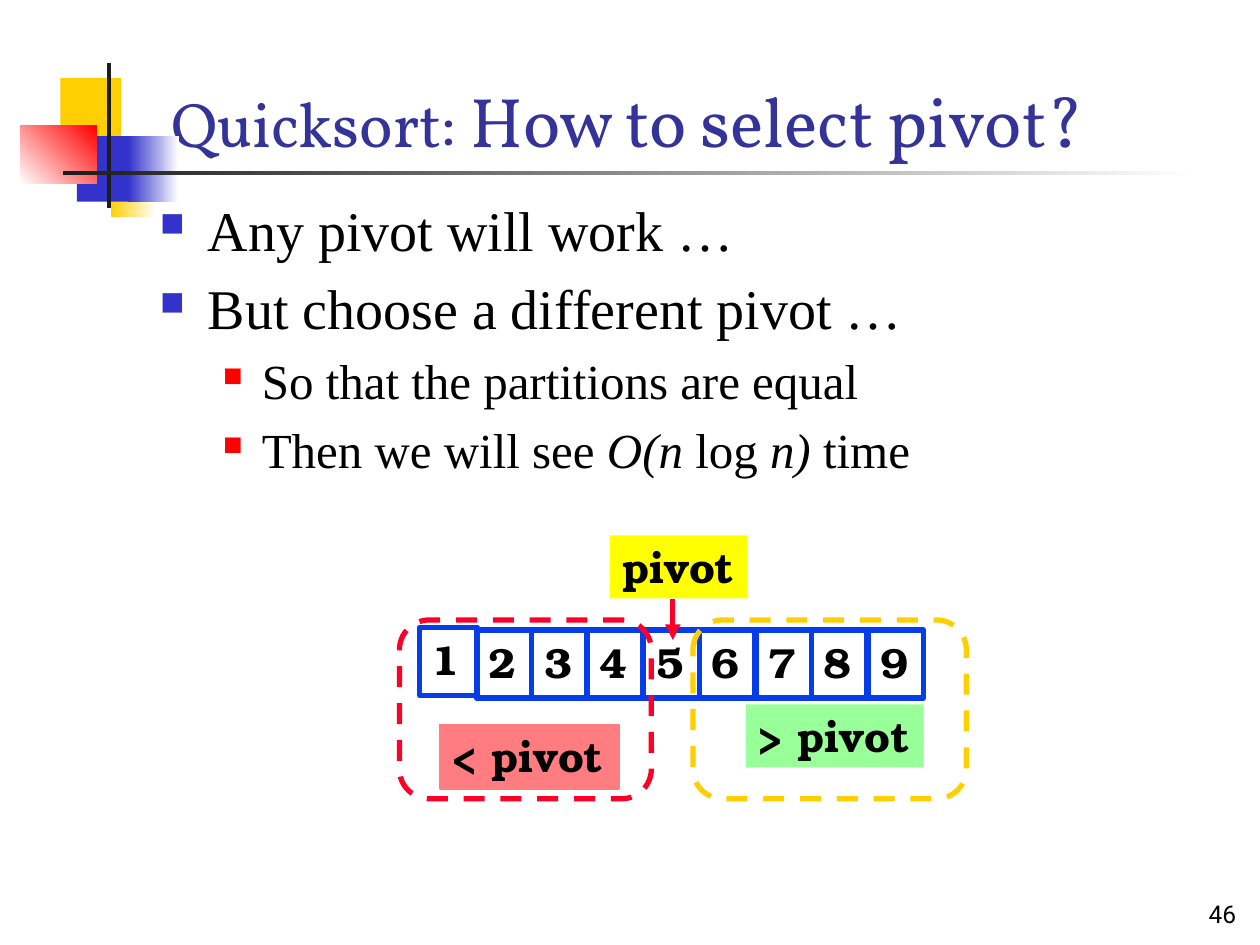
from dataclasses import dataclass

from lxml.etree import SubElement
from pptx import Presentation
from pptx.dml.color import RGBColor
from pptx.enum.dml import MSO_LINE_DASH_STYLE as Dash
from pptx.enum.shapes import MSO_CONNECTOR as Connector, MSO_SHAPE as Shape
from pptx.enum.text import MSO_ANCHOR as Anchor, MSO_AUTO_SIZE as AutoSize, PP_ALIGN as Align
from pptx.oxml.ns import qn
from pptx.util import Pt

PX = 9144  # EMU per px, 100 px to the inch


@dataclass(frozen=True)
class Theme:
    black: str = "000000"
    white: str = "FFFFFF"
    ink: str = "1C1C1C"
    gold: str = "FFCF01"
    blue: str = "3333CC"
    red: str = "FF0000"
    title: str = "333399"
    cell: str = "063DE8"
    less: str = "FC0128"
    pivot_fill: str = "FFFF00"
    less_fill: str = "FF7C80"
    more_fill: str = "99FF99"
    title_font: str = "Vollkorn"
    body_font: str = "Times New Roman"
    label_font: str = "TeX Gyre Bonum"
    number_font: str = "Roboto"
    title_small: int = 36
    title_big: int = 40
    body: int = 32
    sub: int = 28
    label: int = 24
    number: int = 14
    stroke: int = 3


def rgb(color):
    return RGBColor.from_string(color)


def add_run(p, text, *, font, size, color, bold=False, italic=False):
    r = p.add_run()
    r.text = text
    f = r.font
    f.name, f.size, f.bold, f.italic = font, Pt(size), bold, italic
    f.color.rgb = rgb(color)


def set_bullet(p, *, color, percent, left, hanging, level):
    p.level = level
    pPr = p._p.get_or_add_pPr()
    pPr.set("marL", str(left * PX))
    pPr.set("indent", str(-hanging * PX))
    before = SubElement(pPr, qn("a:spcBef"))
    SubElement(before, qn("a:spcPct"), val="20000")
    tint = SubElement(pPr, qn("a:buClr"))
    SubElement(tint, qn("a:srgbClr"), val=color)
    SubElement(pPr, qn("a:buSzPct"), val=str(percent * 1000))
    SubElement(pPr, qn("a:buChar"), char="■")


class Deck:
    def __init__(self, theme):
        self.t = theme
        self.prs = Presentation()
        self.prs.slide_width, self.prs.slide_height = 1000 * PX, 750 * PX
        self.s = self.prs.slides.add_slide(self.prs.slide_layouts[5])

    def title(self, box, parts):
        sp = self.s.shapes.title
        sp.left, sp.top, sp.width, sp.height = (v * PX for v in box)
        tf = sp.text_frame
        tf.vertical_anchor, tf.auto_size, tf.word_wrap = Anchor.BOTTOM, AutoSize.NONE, True
        p = tf.paragraphs[0]
        p.alignment = Align.LEFT
        for text, size in parts:
            add_run(p, text, font=self.t.title_font, size=size, color=self.t.title)

    def text_box(self, box, anchor=Anchor.TOP):
        tf = self.s.shapes.add_textbox(*(v * PX for v in box)).text_frame
        tf.word_wrap, tf.vertical_anchor = True, anchor
        return tf

    def page_number(self, box, text):
        p = self.text_box(box, Anchor.BOTTOM).paragraphs[0]
        p.alignment = Align.RIGHT
        add_run(p, text, font=self.t.number_font, size=self.t.number, color=self.t.black)

    def bullets(self, box, items):
        t = self.t
        levels = [
            (t.body, dict(color=t.blue, percent=60, left=38, hanging=38)),
            (t.sub, dict(color=t.red, percent=55, left=81, hanging=31)),
        ]
        tf = self.text_box(box)
        for i, (level, runs) in enumerate(items):
            p = tf.add_paragraph() if i else tf.paragraphs[0]
            size, style = levels[level]
            set_bullet(p, level=level, **style)
            for text, italic in runs:
                add_run(p, text, font=t.body_font, size=size, color=t.black, italic=italic)

    def shape(self, box, kind=Shape.RECTANGLE, *, fill=None, line=None, width=None, dash=None):
        sp = self.s.shapes.add_shape(kind, *(v * PX for v in box))
        sp.shadow.inherit = False
        if fill:
            sp.fill.solid()
            sp.fill.fore_color.rgb = rgb(fill)
        else:
            sp.fill.background()
        if line:
            sp.line.color.rgb = rgb(line)
            sp.line.width = Pt(width or self.t.stroke)
            if dash:
                sp.line.dash_style = dash
        else:
            sp.line.fill.background()
        return sp

    def gradient(self, box, start, end, angle=0):
        fill = self.shape(box).fill
        fill.gradient()
        fill.gradient_angle = angle
        for stop, color in zip(fill.gradient_stops, (start, end)):
            stop.color.rgb = rgb(color)

    def label(self, box, text, *, wrap=False, **style):
        tf = self.shape(box, **style).text_frame
        tf.word_wrap, tf.auto_size = wrap, AutoSize.SHAPE_TO_FIT_TEXT
        tf.vertical_anchor = Anchor.TOP
        p = tf.paragraphs[0]
        p.alignment = Align.LEFT
        add_run(p, text, font=self.t.label_font, size=self.t.label, color=self.t.black, bold=True)

    def group_outline(self, box, color):
        self.shape(box, Shape.ROUNDED_RECTANGLE, line=color, dash=Dash.DASH)

    def arrow(self, x1, y1, x2, y2, color):
        c = self.s.shapes.add_connector(Connector.STRAIGHT, *(v * PX for v in (x1, y1, x2, y2)))
        c.line.color.rgb, c.line.width = rgb(color), Pt(self.t.stroke)
        SubElement(c.line._get_or_add_ln(), qn("a:tailEnd"), type="triangle")
        SubElement(c._element.spPr, qn("a:effectLst"))


def main():
    t = Theme()
    d = Deck(t)

    # Corner decoration and rule
    d.shape((48, 62, 48, 52), fill=t.gold)
    d.gradient((88, 120, 36, 52), t.gold, t.white)
    d.shape((61, 108, 46, 52), fill=t.blue)
    d.gradient((102, 108, 40, 52), t.blue, t.white)
    d.gradient((16, 100, 61, 46), t.white, t.red, angle=45)
    d.shape((85, 50, 3, 115), fill=t.ink)
    d.gradient((50, 136, 900, 3), t.ink, t.white)

    # Text
    d.page_number((783, 692, 208, 50), "46")
    d.title((126, 25, 852, 108),
            [("Quicksort:", t.title_small), (" How to select pivot?", t.title_big)])
    d.bullets((117, 150, 758, 267), [
        (0, [("Any pivot will work …", False)]),
        (0, [("But choose a different pivot …", False)]),
        (1, [("So that the partitions are equal", False)]),
        (1, [("Then we will see ", False), ("O(n ", True), ("log", False),
             (" n) ", True), ("time", False)]),
    ])

    # Array cells: the first sits slightly higher, the rest share one pitch
    d.label((333, 498, 46, 54), "1", line=t.cell)
    for i in range(8):
        d.label((378 + 400 * i // 9, 500, 44, 54), str(i + 2), wrap=True, line=t.cell)

    # Pivot and partitions
    d.label((484, 425, 109, 50), "pivot", fill=t.pivot_fill)
    d.arrow(534, 475, 534, 508, t.less)
    d.group_outline((550, 492, 217, 142), t.gold)
    d.label((349, 575, 142, 51), "< pivot", fill=t.less_fill, line=t.less_fill, width=1)
    d.group_outline((317, 492, 200, 142), t.less)
    d.label((592, 559, 141, 50), "> pivot", fill=t.more_fill)

    d.prs.save("out.pptx")


if __name__ == "__main__":
    main()
